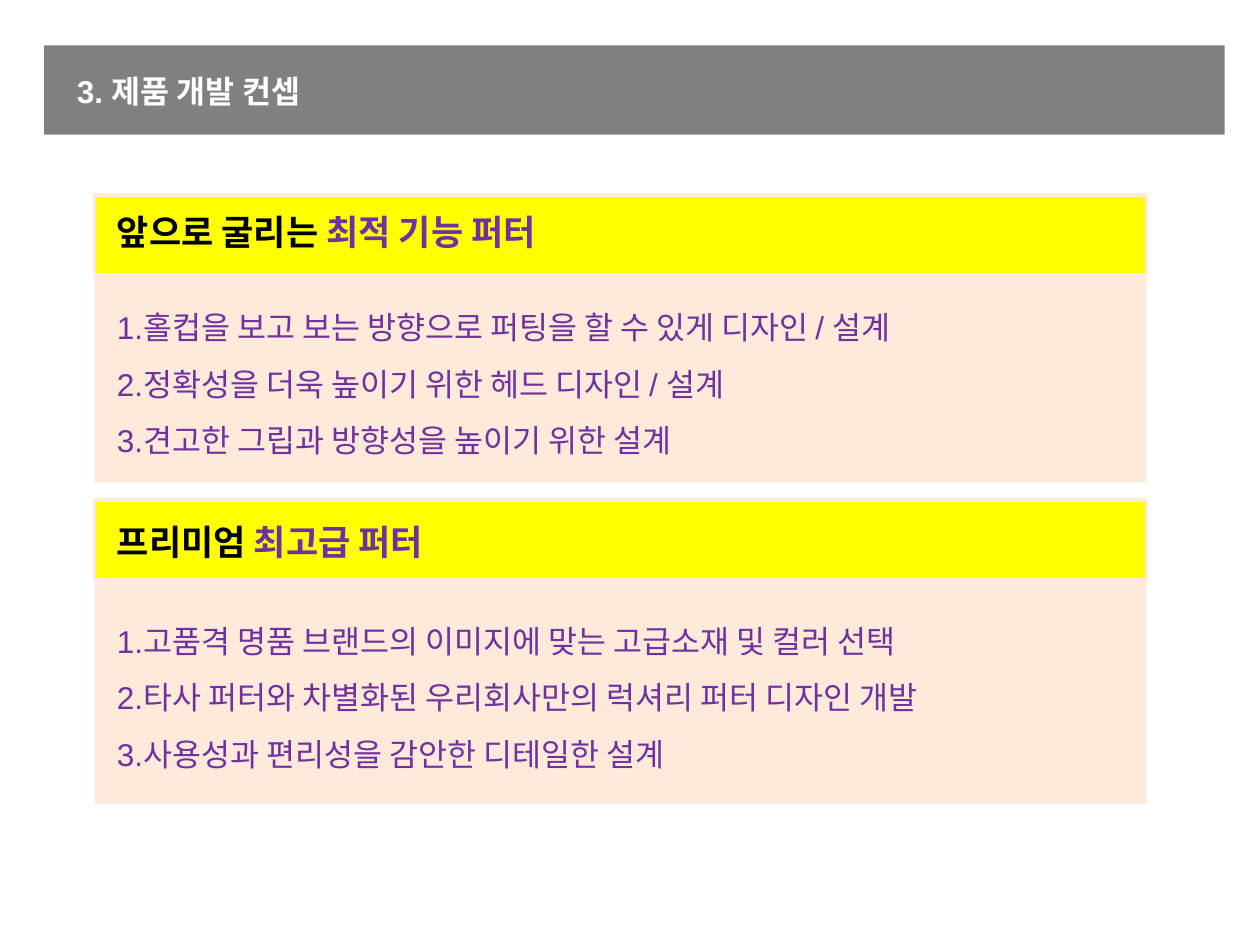
from pptx import Presentation
from pptx import util as u
from pptx.dml.color import RGBColor
from pptx.enum import shapes, text

WHITE = RGBColor(0xFF, 0xFF, 0xFF)
BLACK = RGBColor(0, 0, 0)
GRAY = RGBColor(0x80, 0x80, 0x80)
PEACH = RGBColor(0xFD, 0xEA, 0xDA)
YELLOW = RGBColor(0xFF, 0xFF, 0)
PURPLE = RGBColor(0x70, 0x30, 0xA0)

LEFT, WIDE, BAR = 0.75, 8.35, 0.63
PANELS = [(3.97, 4.52, 1.86), (1.55, 2.1, 1.73)]
TOPICS = [
    ("앞으로 굴리는 ", "최적 기능 퍼터", 0, 1, 21, [
        "1.홀컵을 보고 보는 방향으로 퍼팅을 할 수 있게 디자인 / 설계",
        "2.정확성을 더욱 높이기 위한 헤드 디자인 / 설계",
        "3.견고한 그립과 방향성을 높이기 위한 설계"]),
    ("프리미엄 ", "최고급 퍼터", 23, 1.5, 23, [
        "1.고품격 명품 브랜드의 이미지에 맞는 고급소재 및 컬러 선택",
        "2.타사 퍼터와 차별화된 우리회사만의 럭셔리 퍼터 디자인 개발",
        "3.사용성과 편리성을 감안한 디테일한 설계"]),
]


def add_box(slide, left, top, width, height, fill, line=None):
    """Draw a filled rectangle, outlined if a line colour is given."""
    box = slide.shapes.add_shape(
        shapes.MSO_SHAPE.RECTANGLE, *map(u.Inches, (left, top, width, height)))
    box.shadow.inherit = False
    box.fill.solid()
    box.fill.fore_color.rgb = fill
    if line is None:
        box.line.fill.background()
    else:
        box.line.color.rgb = line
        box.line.width = u.Pt(2)


def set_frame(frame):
    """Let a text frame grow with its unwrapped text."""
    frame.word_wrap = False
    frame.auto_size = text.MSO_AUTO_SIZE.SHAPE_TO_FIT_TEXT
    frame.vertical_anchor = text.MSO_ANCHOR.TOP


def add_run(para, words, size=18, color=PURPLE, bold=False):
    """Add formatted text to a paragraph."""
    run = para.add_run()
    run.text = words
    run.font.name = "Arial"
    run.font.size = u.Pt(size)
    run.font.bold = bold
    run.font.color.rgb = color


def add_para(frame, before=0, lines=1.5):
    """Return a spaced paragraph, using the empty first one if free."""
    first = frame.paragraphs[0]
    para = frame.add_paragraph() if first.runs else first
    para.alignment = text.PP_ALIGN.LEFT
    para.space_before = u.Pt(before)
    para.line_spacing = lines
    return para


def add_topics(slide):
    """Write both topics with their numbered points."""
    box = slide.shapes.add_textbox(*map(u.Inches, (0.83, 1.62, 7.2, 4.75)))
    frame = box.text_frame
    set_frame(frame)
    for lead, key, before, lines, gap, points in TOPICS:
        para = add_para(frame, before, lines)
        add_run(para, lead, size=20, color=BLACK, bold=True)
        add_run(para, key, size=20, bold=True)
        for row, point in enumerate(points):
            add_run(add_para(frame, 0 if row else gap), point)


def add_title(slide):
    """Place the title on its gray band."""
    add_box(slide, 0.35, 0.36, 9.37, 0.71, GRAY)
    title = slide.shapes.title
    title.left, title.top, title.width, title.height = map(
        u.Inches, (0.51, 0.52, 2.2, 0.4))
    set_frame(title.text_frame)
    add_run(add_para(title.text_frame, lines=1), "3. 제품 개발 컨셉",
            color=WHITE, bold=True)
    slide.shapes.element.append(title.element)


def main():
    """Build and save the slide."""
    deck = Presentation()
    deck.slide_width, deck.slide_height = u.Inches(10), u.Inches(7.5)
    slide = deck.slides.add_slide(deck.slide_layouts[5])
    for head, body, tall in PANELS:
        add_box(slide, LEFT, body, WIDE, tall, PEACH)
        add_box(slide, LEFT, head, WIDE, BAR, YELLOW, line=PEACH)
    add_topics(slide)
    add_title(slide)
    deck.save("out.pptx")


if __name__ == "__main__":
    main()
